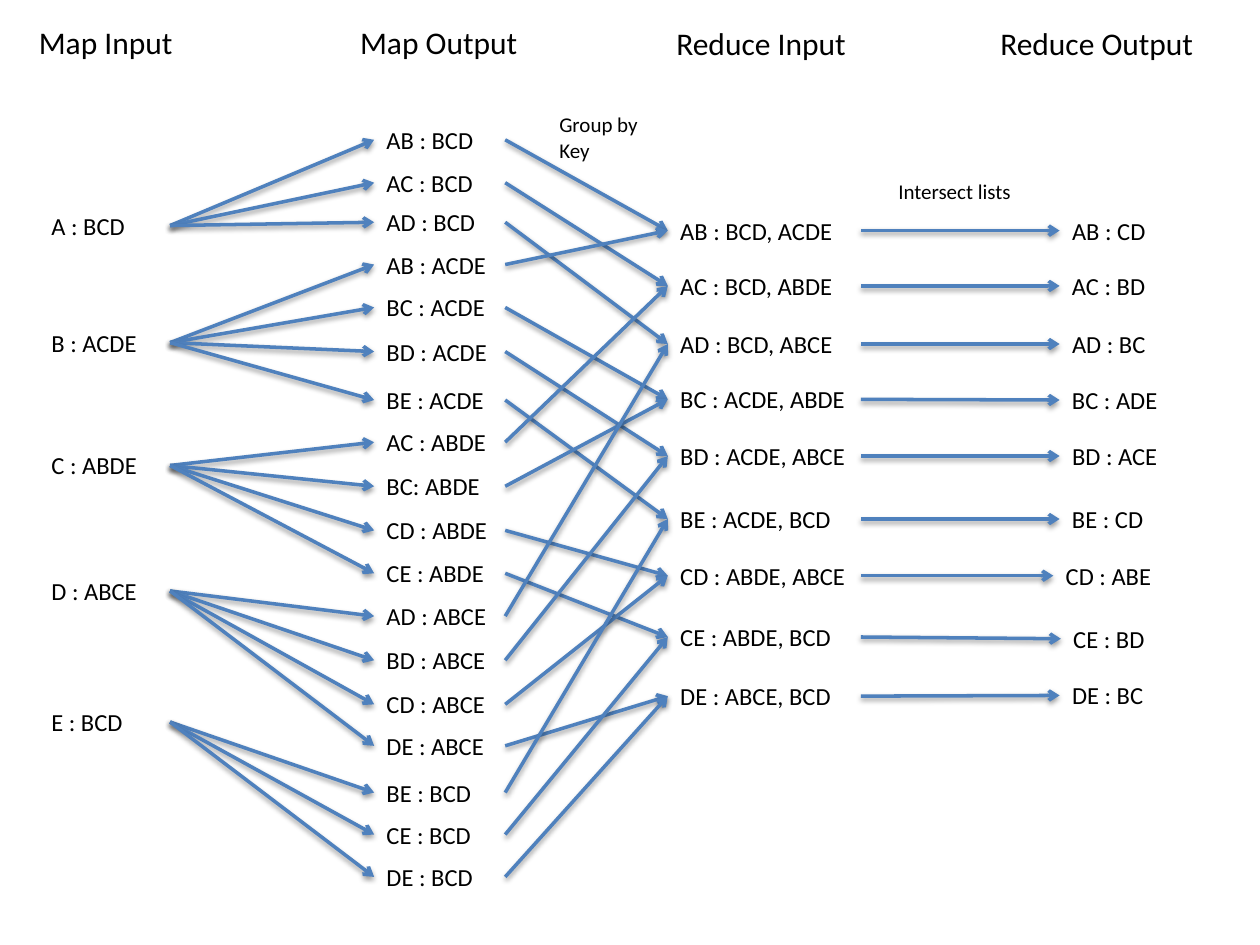
"""Builds a slide that follows friend lists through map, group and reduce steps."""
from dataclasses import dataclass
from lxml.etree import SubElement
from pptx import Presentation
from pptx.dml.color import RGBColor
from pptx.enum.shapes import MSO_CONNECTOR
from pptx.enum.text import MSO_ANCHOR, MSO_AUTO_SIZE
from pptx.oxml.ns import qn
from pptx.util import Pt


@dataclass(frozen=True)
class Theme:
    """Colours, font and sizes of the slide."""
    text: str = "000000"
    arrow: str = "4F81BD"
    shadow: str = "000000"
    font: str = "Calibri"
    head: float = 18
    body: float = 14
    note: float = 12
    line: float = 2


class Canvas:
    """Holds the theme and the current slide."""

    def __init__(self, s, theme):
        """Keep the slide and its theme."""
        self.s, self.theme = s, theme

    def text(self, words, x, y, w, h, size):
        """Add a text box."""
        sp = self.s.shapes.add_textbox(Pt(x), Pt(y), Pt(w), Pt(h))
        tf = sp.text_frame
        tf.word_wrap = True
        tf.auto_size = MSO_AUTO_SIZE.SHAPE_TO_FIT_TEXT
        tf.vertical_anchor = MSO_ANCHOR.TOP
        r = tf.paragraphs[0].add_run()
        r.text = words
        r.font.name, r.font.size = self.theme.font, Pt(size)
        r.font.color.rgb = RGBColor.from_string(self.theme.text)

    def label(self, words, x, middle, w):
        """Add a body label centred on a height."""
        self.text(words, x, middle - LABEL_H / 2, w, LABEL_H, self.theme.body)

    def arrow(self, x1, y1, x2, y2):
        """Add an arrow with a soft shadow."""
        c = self.s.shapes.add_connector(MSO_CONNECTOR.STRAIGHT, Pt(x1), Pt(y1), Pt(x2), Pt(y2))
        c.line.width = Pt(self.theme.line)
        c.line.color.rgb = RGBColor.from_string(self.theme.arrow)
        spPr = c._element.spPr
        SubElement(spPr.find(qn("a:ln")), qn("a:tailEnd"), type="arrow")
        effects = SubElement(spPr, qn("a:effectLst"))
        shadow = SubElement(effects, qn("a:outerShdw"), blurRad=str(Pt(3.1)),
                            dist=str(Pt(1.6)), dir="5400000", rotWithShape="0")
        colour = SubElement(shadow, qn("a:srgbClr"), val=self.theme.shadow)
        SubElement(colour, qn("a:alpha"), val="38000")


LABEL_H = 24.2
INPUT_X, INPUT_END = 22.3, 97.2
MAPPED_X, MAPPED_END = 213.8, 288.7
GROUP_X, GROUP_END = 381.6, 492

HEADINGS = [
    ("Map Input", 15.1, 9.4, 95.8),
    ("Map Output", 198.7, 9.4, 105.8),
    ("Reduce Input", 379.4, 10.1, 118.8),
    ("Reduce Output", 564.5, 10.1, 128.9),
]
NOTES = [
    ("Intersect lists", 506.2, 98.6, 85.7, 21.6),
    ("Group by Key", 312.5, 60.5, 65.5, 36),
]
MAPS = [
    ("A : BCD", 128.9, [("AB : BCD", 79.9), ("AC : BCD", 104.4), ("AD : BCD", 127)]),
    ("B : ACDE", 195.8, [("AB : ACDE", 151.2), ("BC : ACDE", 175.7),
                         ("BD : ACDE", 200.9), ("BE : ACDE", 228.6)]),
    ("C : ABDE", 266, [("AC : ABDE", 252.7), ("BC: ABDE", 277.9),
                       ("CD : ABDE", 303.1), ("CE : ABDE", 327.6)]),
    ("D : ABCE", 337.7, [("AD : ABCE", 352.1), ("BD : ABCE", 377.3),
                         ("CD : ABCE", 402.5), ("DE : ABCE", 426.2)]),
    ("E : BCD", 412.6, [("BE : BCD", 452.9), ("CE : BCD", 476.9), ("DE : BCD", 501.1)]),
]
REDUCES = [
    ("AB : BCD, ACDE", 131.8, "AB : CD", 605.5, 131.8, 61.2),
    ("AC : BCD, ABDE", 163.4, "AC : BD", 605.5, 163.4, 61.9),
    ("AD : BCD, ABCE", 196.6, "AD : BC", 605.5, 196.6, 58.3),
    ("BC : ACDE, ABDE", 228.2, "BC : ADE", 605.5, 228.6, 67.7),
    ("BD : ACDE, ABCE", 260.6, "BD : ACE", 605.5, 260.6, 65.5),
    ("BE : ACDE, BCD", 296.6, "BE : CD", 605.5, 296.6, 62.6),
    ("CD : ABDE, ABCE", 329, "CD : ABE", 601.9, 329, 66.2),
    ("CE : ABDE, BCD", 364, "CE : BD", 606.2, 365, 58.3),
    ("DE : ABCE, BCD", 397.8, "DE : BC", 605.5, 397.4, 61.2),
]

prs = Presentation()
prs.slide_width, prs.slide_height = Pt(720), Pt(540)
theme = Theme()
canvas = Canvas(prs.slides.add_slide(prs.slide_layouts[6]), theme)

for words, x, y, w in HEADINGS:
    canvas.text(words, x, y, w, 28.8, theme.head)
for words, y, pairs in MAPS:
    canvas.label(words, INPUT_X, y, INPUT_END - INPUT_X)
    for pair, pair_y in pairs:
        canvas.label(pair, MAPPED_X, pair_y, MAPPED_END - MAPPED_X)
for group, y, result, x, result_y, w in REDUCES:
    canvas.label(group, GROUP_X, y, GROUP_END - GROUP_X)
    canvas.label(result, x, result_y, w)

group_y = {group[:2]: y for group, y, *_ in REDUCES}
for _, y, pairs in MAPS:
    for pair, pair_y in pairs:
        canvas.arrow(INPUT_END, y, MAPPED_X, pair_y)
        canvas.arrow(MAPPED_END, pair_y, GROUP_X, group_y[pair[:2]])
for _, y, _, x, result_y, _ in REDUCES:
    canvas.arrow(GROUP_END, y, x, result_y)
for words, x, y, w, h in NOTES:
    canvas.text(words, x, y, w, h, theme.note)

prs.save("out.pptx")
